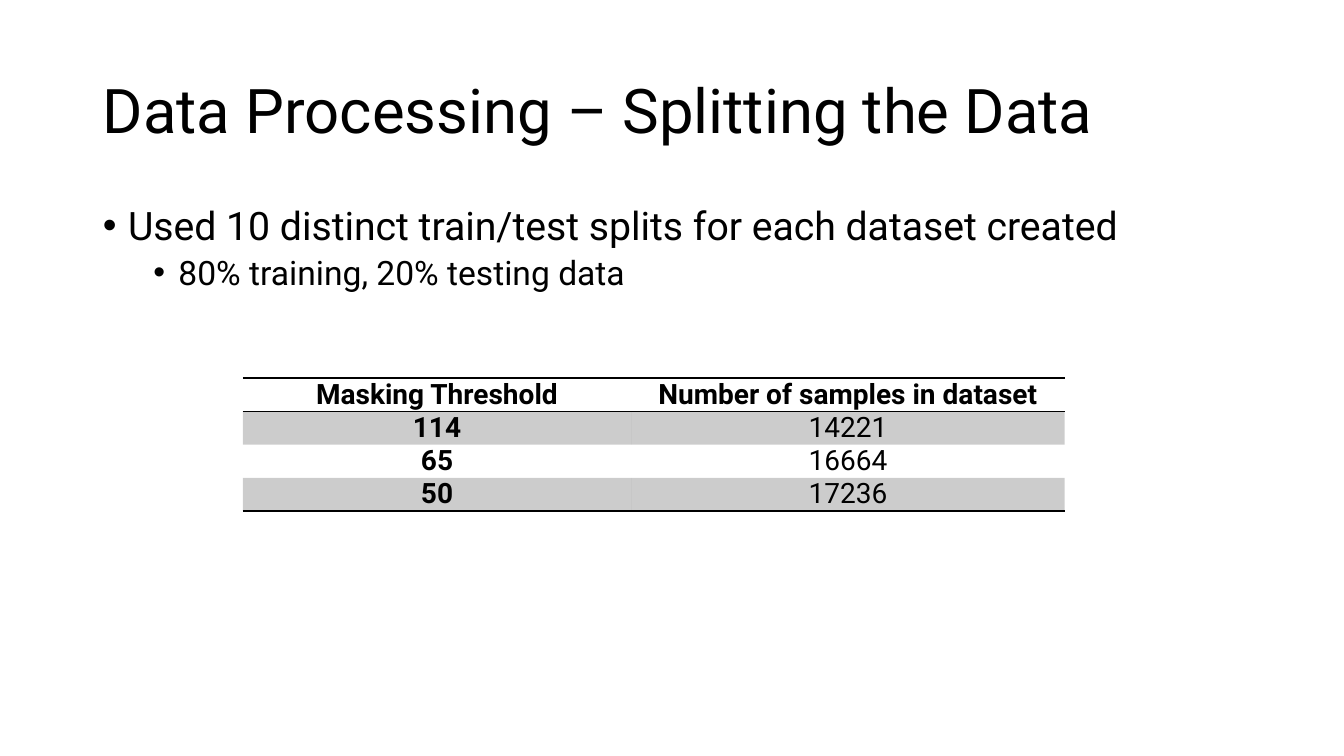
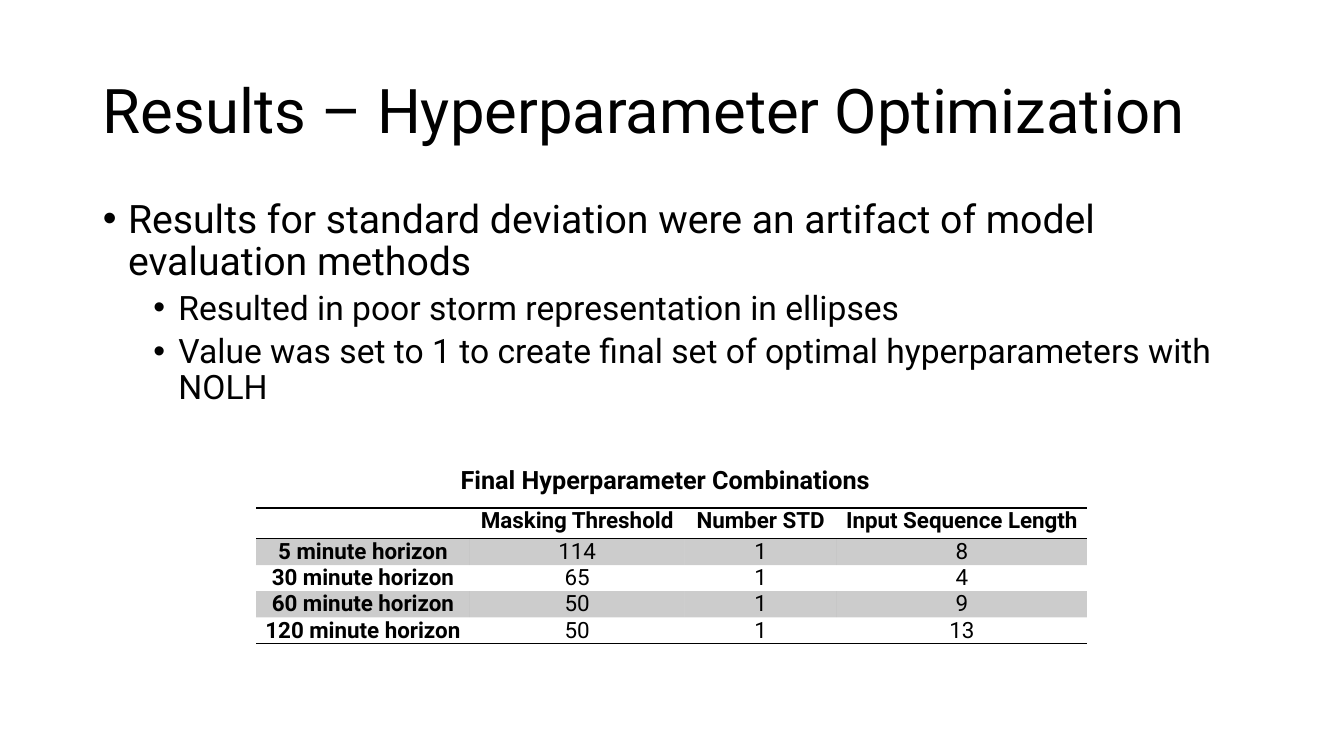
"""Build two slides on data splitting and hyperparameter optimization."""
from dataclasses import dataclass

from lxml import etree
from pptx import Presentation
from pptx import util as u
from pptx.dml.color import RGBColor
from pptx.enum import text
from pptx.oxml.ns import qn


@dataclass(frozen=True)
class Theme:
    font: str = "Roboto"
    ink: RGBColor = RGBColor(0, 0, 0)
    band_alpha: int = 20000
    rule_width: float = 1
    title_size: int = 44
    caption_size: int = 18
    level_sizes: tuple[int, ...] = (28, 24)
    level_indents: tuple[float, ...] = (0.25, 0.75)
    hanging: float = -0.25
    plain_table: str = "{2D5ABB26-0587-4C30-8999-92F81FD0307C}"


THEME = Theme()


@dataclass(frozen=True)
class Box:
    left: float
    top: float
    width: float
    height: float


@dataclass(frozen=True)
class Bullet:
    wording: str
    level: int = 0


@dataclass(frozen=True)
class Grid:
    left: float
    top: float
    columns: tuple[float, ...]
    header_height: float
    row_height: float
    size: int
    rows: tuple[tuple[str, ...], ...]


TITLE_BOX = Box(0.92, 0.4, 11.5, 1.45)


def place(shape, box: Box) -> None:
    shape.left, shape.top = u.Inches(box.left), u.Inches(box.top)
    shape.width, shape.height = u.Inches(box.width), u.Inches(box.height)


def add_run(para, wording: str, size: int, bold: bool = False) -> None:
    span = para.add_run()
    span.text = wording
    span.font.name = THEME.font
    span.font.size = u.Pt(size)
    span.font.bold = bold
    span.font.color.rgb = THEME.ink


def add_bullets(body, bullets: list[Bullet]) -> None:
    frame = body.text_frame
    frame.auto_size = text.MSO_AUTO_SIZE.NONE
    for index, bullet in enumerate(bullets):
        para = frame.add_paragraph() if index else frame.paragraphs[0]
        para.level = bullet.level
        para.line_spacing = 0.9
        para.space_before = u.Pt(5 if index else 0)
        props = para._p.get_or_add_pPr()
        props.set("marL", str(u.Inches(THEME.level_indents[bullet.level])))
        props.set("indent", str(u.Inches(THEME.hanging)))
        etree.SubElement(props, qn("a:buFont"), typeface="Arial")
        etree.SubElement(props, qn("a:buChar"), char="•")
        add_run(para, bullet.wording, THEME.level_sizes[bullet.level])


def add_slide(deck, title: str, body_box: Box, bullets: list[Bullet]):
    page = deck.slides.add_slide(deck.slide_layouts[1])
    heading, body = page.shapes.title, page.placeholders[1]
    place(heading, TITLE_BOX)
    heading.text_frame.auto_size = text.MSO_AUTO_SIZE.NONE
    heading.text_frame.vertical_anchor = text.MSO_ANCHOR.MIDDLE
    para = heading.text_frame.paragraphs[0]
    para.alignment = text.PP_ALIGN.LEFT
    para.line_spacing = 0.9
    add_run(para, title, THEME.title_size)
    place(body, body_box)
    add_bullets(body, bullets)
    return page


def rule_cell(cell, sides: tuple[str, ...]) -> None:
    props = cell._tc.get_or_add_tcPr()
    for position, side in enumerate(sides):
        line = etree.Element(qn(f"a:ln{side}"), w=str(u.Pt(THEME.rule_width)))
        fill = etree.SubElement(line, qn("a:solidFill"))
        etree.SubElement(fill, qn("a:srgbClr"), val=str(THEME.ink))
        props.insert(position, line)


def fill_cell(cell, banded: bool) -> None:
    if not banded:
        cell.fill.background()
        return
    cell.fill.solid()
    cell.fill.fore_color.rgb = THEME.ink
    color = cell._tc.tcPr.find(f".//{qn('a:srgbClr')}")
    etree.SubElement(color, qn("a:alpha"), val=str(THEME.band_alpha))


def add_grid(page, grid: Grid) -> None:
    last = len(grid.rows) - 1
    frame = page.shapes.add_table(
        len(grid.rows), len(grid.columns), u.Inches(grid.left), u.Inches(grid.top),
        u.Inches(sum(grid.columns)),
        u.Inches(grid.header_height + last * grid.row_height))
    table = frame.table
    table.horz_banding = False
    table._tbl.tblPr.find(qn("a:tableStyleId")).text = THEME.plain_table
    for column, width in zip(table.columns, grid.columns):
        column.width = u.Inches(width)
    for r, wordings in enumerate(grid.rows):
        table.rows[r].height = u.Inches(grid.row_height if r else grid.header_height)
        for c, wording in enumerate(wordings):
            cell = table.cell(r, c)
            cell.margin_left = cell.margin_right = u.Inches(0.07)
            cell.margin_top = cell.margin_bottom = 0
            fill_cell(cell, r % 2 == 1)
            rule_cell(cell, ("T", "B") if r == 0 else ("B",) if r == last else ())
            para = cell.text_frame.paragraphs[0]
            para.alignment = text.PP_ALIGN.CENTER
            para.space_after = u.Pt(8)
            if wording:
                add_run(para, wording, grid.size, bold=r == 0 or c == 0)


def add_caption(page, wording: str, box: Box) -> None:
    caption = page.shapes.add_textbox(0, 0, 0, 0)
    place(caption, box)
    caption.text_frame.word_wrap = True
    caption.text_frame.auto_size = text.MSO_AUTO_SIZE.SHAPE_TO_FIT_TEXT
    add_run(caption.text_frame.paragraphs[0], wording, THEME.caption_size, bold=True)


def main() -> None:
    deck = Presentation()
    deck.slide_width, deck.slide_height = u.Inches(13.33), u.Inches(7.5)

    splitting = add_slide(
        deck, "Data Processing – Splitting the Data", Box(0.92, 2, 11.5, 4.76),
        [Bullet("Used 10 distinct train/test splits for each dataset created"),
         Bullet("80% training, 20% testing data", 1)])
    add_grid(splitting, Grid(2.41, 3.75, (3.85, 4.3), 0.33, 0.33, 20, (
        ("Masking Threshold", "Number of samples in dataset"),
        ("114", "14221"),
        ("65", "16664"),
        ("50", "17236"))))

    results = add_slide(
        deck, "Results – Hyperparameter Optimization", Box(0.92, 1.93, 11.87, 2.18),
        [Bullet("Results for standard deviation were an artifact of model "
                "evaluation methods"),
         Bullet("Resulted in poor storm representation in ellipses", 1),
         Bullet("Value was set to 1 to create final set of optimal "
                "hyperparameters with NOLH", 1)])
    add_grid(results, Grid(2.54, 5.04, (2.12, 2.13, 1.51, 2.48), 0.3, 0.26, 16, (
        ("", "Masking Threshold", "Number STD", "Input Sequence Length"),
        ("5 minute horizon", "114", "1", "8"),
        ("30 minute horizon", "65", "1", "4"),
        ("60 minute horizon", "50", "1", "9"),
        ("120 minute horizon", "50", "1", "13"))))
    add_caption(results, "Final Hyperparameter Combinations",
                Box(4.47, 4.56, 4.39, 0.4))

    deck.save("out.pptx")


if __name__ == "__main__":
    main()
